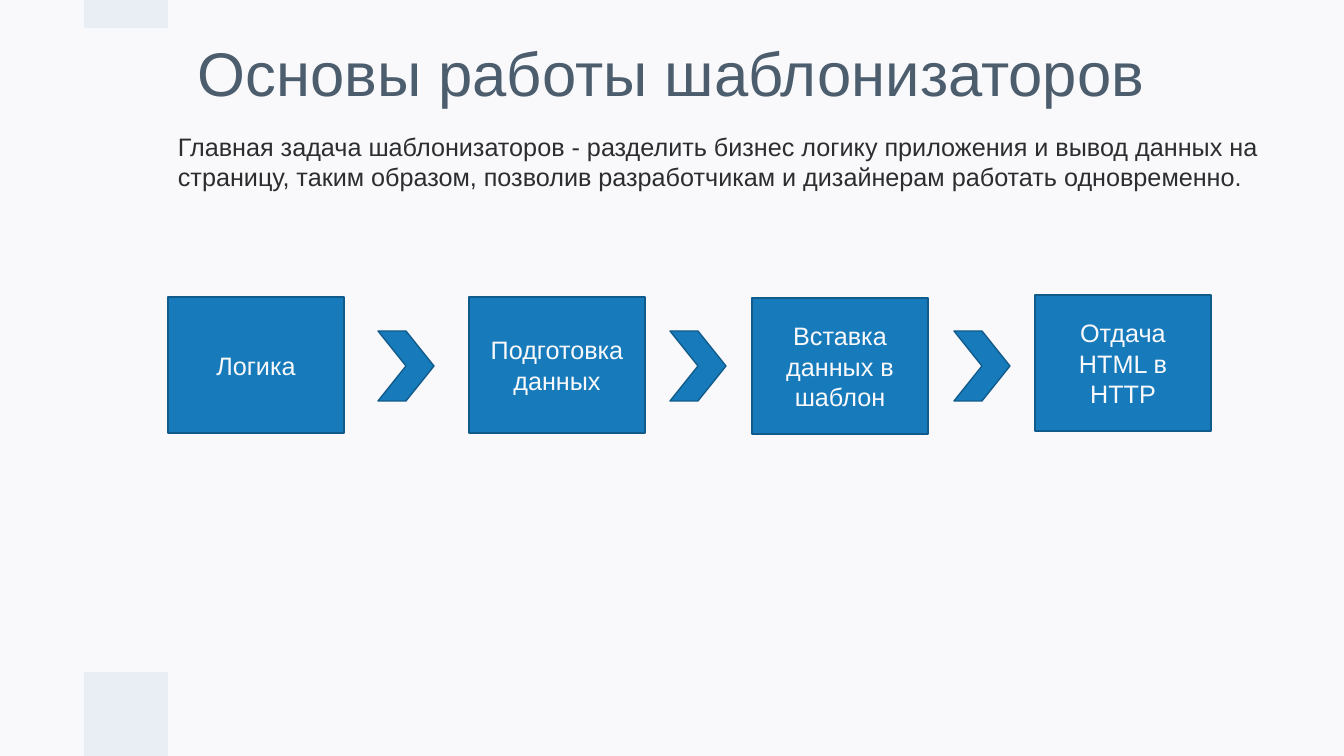
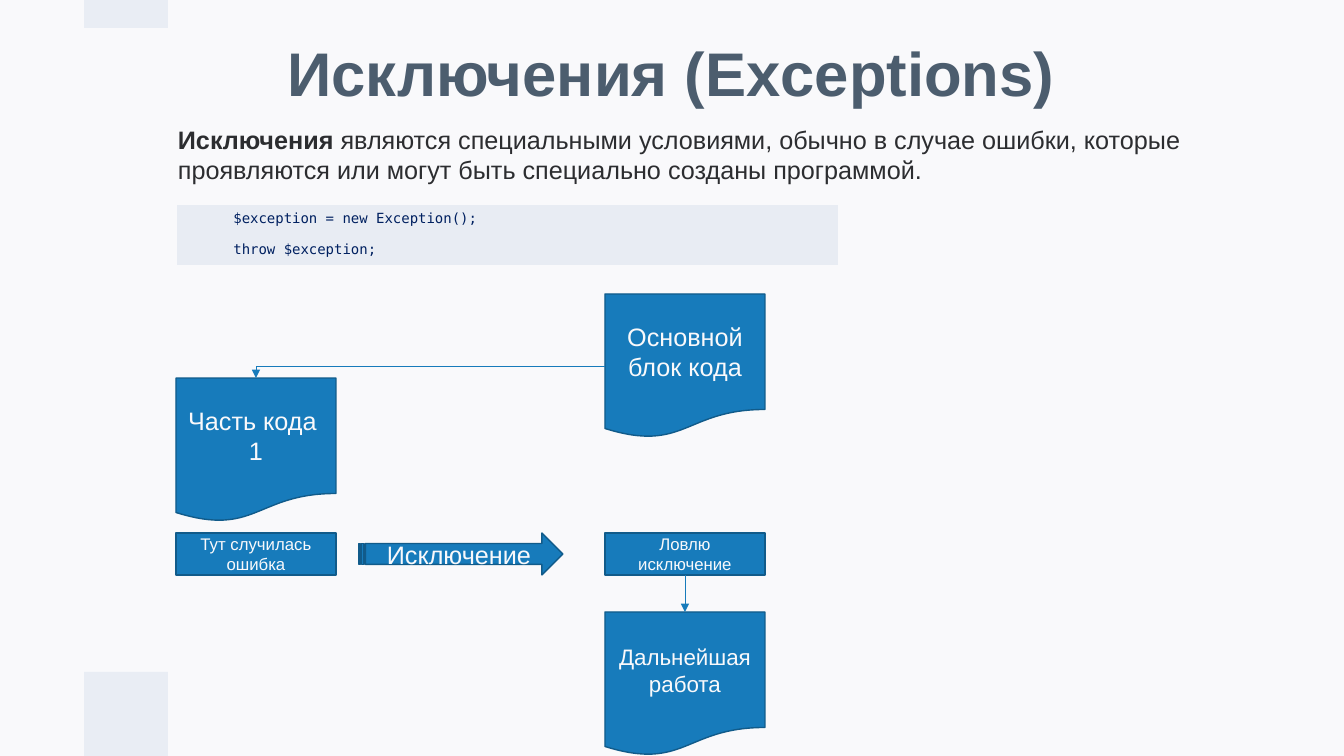
from lxml import etree
from pptx import Presentation, util as u
from pptx.dml.color import RGBColor
from pptx.enum import shapes, text
from pptx.oxml import ns

SCALE = 914400 / 100.8
BACKGROUND, BAND, CODE_FILL = "F9F9FB", "E9EDF4", "E8ECF3"
TITLE, BODY, CODE = "4C5D6E", "2C2D30", "002060"
BLUE, OUTLINE = "177BBB", "115B8A"
SANS, MONO = "Arial", "DejaVu Sans Mono"
SHAPE = shapes.MSO_SHAPE
CONNECTOR = shapes.MSO_CONNECTOR


def px(value):
    return u.Emu(round(value * SCALE))


def box(*lengths):
    return [px(length) for length in lengths]


def color(value):
    return RGBColor.from_string(value)


def set_insets(target, inset):
    target.margin_left = target.margin_right = px(inset)
    target.margin_top = target.margin_bottom = px(inset)


def style(paragraph, size, fill, name=SANS, bold=False):
    font = paragraph.font
    font.name, font.size, font.bold = name, u.Pt(size), bold
    font.color.rgb = color(fill)


def add_band(slide, top, height):
    band = slide.shapes.add_shape(SHAPE.RECTANGLE, *box(84, top, 84, height))
    band.shadow.inherit = False
    band.fill.solid()
    band.fill.fore_color.rgb = color(BAND)
    band.line.fill.background()


def add_text_box(slide, place):
    frame = slide.shapes.add_textbox(*box(*place)).text_frame
    frame.word_wrap = True
    return frame


def add_slide(presentation, title, bold=False):
    slide = presentation.slides.add_slide(presentation.slide_layouts[6])
    slide.background.fill.solid()
    slide.background.fill.fore_color.rgb = color(BACKGROUND)
    frame = add_text_box(slide, (168, 40, 1007, 74))
    frame.vertical_anchor = text.MSO_ANCHOR.MIDDLE
    set_insets(frame, 13)
    paragraph = frame.paragraphs[0]
    paragraph.text = title
    paragraph.alignment = text.PP_ALIGN.CENTER
    paragraph.line_spacing = 0.9
    style(paragraph, 44, TITLE, bold=bold)
    add_band(slide, 672, 84)
    add_band(slide, 0, 28)
    return slide


def add_body(slide, place, words, lead=""):
    frame = add_text_box(slide, place)
    frame.auto_size = text.MSO_AUTO_SIZE.SHAPE_TO_FIT_TEXT
    paragraph = frame.paragraphs[0]
    style(paragraph, 18, BODY)
    if lead:
        run = paragraph.add_run()
        run.text = lead
        run.font.bold = True
    paragraph.add_run().text = words


def add_block(slide, kind, place, words="", size=18):
    block = slide.shapes.add_shape(kind, *box(*place))
    block.shadow.inherit = False
    block.fill.solid()
    block.fill.fore_color.rgb = color(BLUE)
    block.line.color.rgb = color(OUTLINE)
    block.line.width = u.Pt(1)
    if words:
        frame = block.text_frame
        frame.word_wrap = True
        frame.vertical_anchor = text.MSO_ANCHOR.MIDDLE
        frame.text = words
        for paragraph in frame.paragraphs:
            paragraph.alignment = text.PP_ALIGN.CENTER
            style(paragraph, size, BACKGROUND)


def add_arrow(slide, kind, start, end):
    arrow = slide.shapes.add_connector(kind, *box(*start, *end))
    arrow.line.color.rgb = color(BLUE)
    arrow.line.width = u.Pt(0.5)
    properties = arrow._element.spPr
    if kind == CONNECTOR.ELBOW:
        properties.find(ns.qn("a:prstGeom")).set("prst", "bentConnector2")
    line = properties.find(ns.qn("a:ln"))
    etree.SubElement(line, ns.qn("a:tailEnd"), type="triangle")
    etree.SubElement(properties, ns.qn("a:effectLst"))


def add_cell_borders(cell):
    properties = cell._tc.get_or_add_tcPr()
    for index, side in enumerate(("a:lnL", "a:lnR", "a:lnT", "a:lnB")):
        line = etree.Element(ns.qn(side), w=str(u.Pt(1)))
        fill = etree.SubElement(line, ns.qn("a:solidFill"))
        etree.SubElement(fill, ns.qn("a:srgbClr"), val=BACKGROUND)
        properties.insert(index, line)


def add_code(slide, place, lines):
    table = slide.shapes.add_table(1, 1, *box(*place)).table
    table.first_row = table.horz_banding = False
    cell = table.cell(0, 0)
    cell.fill.solid()
    cell.fill.fore_color.rgb = color(CODE_FILL)
    set_insets(cell, 7)
    add_cell_borders(cell)
    cell.text = "\n".join(lines)
    for paragraph in cell.text_frame.paragraphs:
        paragraph.space_before = u.Pt(10)
        paragraph._p.get_or_add_pPr().set("marL", str(u.Inches(0.5)))
        style(paragraph, 10, CODE, MONO)


def build_templates(presentation):
    slide = add_slide(presentation, "Основы работы шаблонизаторов")
    add_body(slide, (168, 126, 1132, 72),
             "Главная задача шаблонизаторов - разделить бизнес логику приложения "
             "и вывод данных на страницу, таким образом, позволив разработчикам "
             "и дизайнерам работать одновременно.")
    steps = [(168, 297, "Логика"), (469, 297, "Подготовка данных"),
             (752, 298, "Вставка данных в шаблон"), (1035, 295, "Отдача HTML в HTTP")]
    for left, top, words in steps:
        add_block(slide, SHAPE.RECTANGLE, (left, top, 176, 136), words)
    for left in (378, 670, 954):
        add_block(slide, SHAPE.CHEVRON, (left, 331, 56, 70))


def build_exceptions(presentation):
    slide = add_slide(presentation, "Исключения (Exceptions)", bold=True)
    add_body(slide, (168, 119, 1052, 72),
             " являются специальными условиями, обычно в случае ошибки, которые "
             "проявляются или могут быть специально созданы программой. ",
             lead="Исключения")
    add_code(slide, (176, 204, 663, 62),
             ["$exception = new Exception();", "throw $exception;"])
    left, right, width = 176, 605, 160
    documents = [(left, 378, "Часть кода \n1", 18),
                 (right, 294, "Основной блок кода", 18),
                 (right, 612, "Дальнейшая работа", 16)]
    for x, top, words, size in documents:
        add_block(slide, SHAPE.FLOWCHART_DOCUMENT, (x, top, width, 144), words, size)
    for x, words in ((left, "Тут случилась ошибка"), (right, "Ловлю исключение")):
        add_block(slide, SHAPE.RECTANGLE, (x, 533, width, 42), words, 12)
    add_block(slide, SHAPE.STRIPED_RIGHT_ARROW, (359, 533, 204, 42), "Исключение")
    middle = width // 2
    add_arrow(slide, CONNECTOR.ELBOW, (right, 366), (left + middle, 378))
    add_arrow(slide, CONNECTOR.STRAIGHT, (right + middle, 575), (right + middle, 612))


def main():
    presentation = Presentation()
    presentation.slide_width, presentation.slide_height = box(1344, 756)
    build_templates(presentation)
    build_exceptions(presentation)
    presentation.save("out.pptx")


main()
